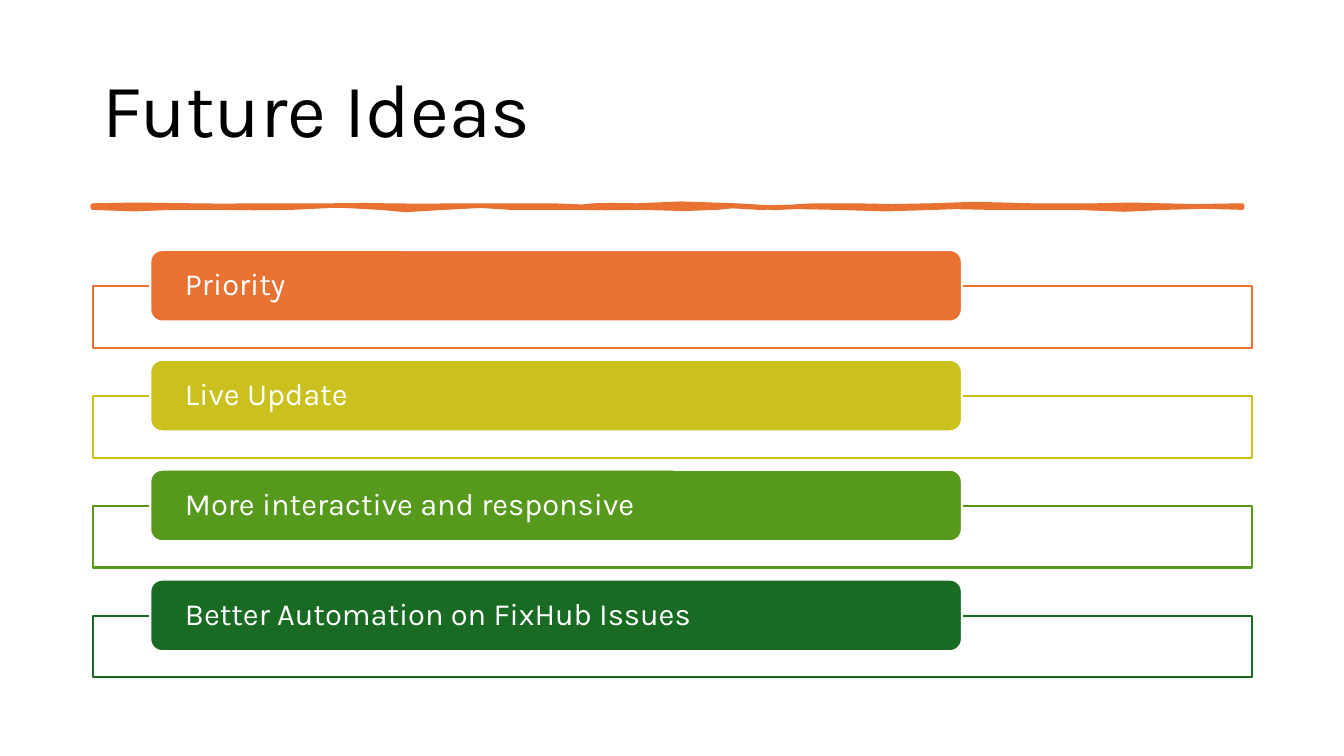
from pptx import Presentation
from pptx.dml.color import RGBColor
from pptx.enum import shapes, text
from pptx.util import Inches, Pt

FONT = "Karla"
COLORS = {
    "black": "000000", "white": "FFFFFF", "orange": "E97132",
    "yellow": "CBC11E", "green": "56991D", "forest": "196B24",
}
TITLE = "Future Ideas"
IDEAS = [
    ("Priority", "orange"),
    ("Live Update", "yellow"),
    ("More interactive and responsive", "green"),
    ("Better Automation on FixHub Issues", "forest"),
]

# Brush stroke outline: start, then (control 1, control 2, end) of each curve
STROKE_START = (0.92, 2.04)
STROKE_CURVES = [
    (1.19, 2.04, 1.44, 2.02, 1.9, 2.04), (2.37, 2.06, 2.2, 2.03, 2.44, 2.04),
    (2.67, 2.05, 3.03, 2.03, 3.31, 2.04), (3.6, 2.05, 3.59, 2.02, 3.84, 2.04),
    (4.1, 2.06, 4.23, 2.03, 4.6, 2.04), (4.98, 2.05, 5.14, 2.03, 5.48, 2.04),
    (5.81, 2.05, 5.81, 2.06, 5.89, 2.04), (5.98, 2.02, 6.15, 2.05, 6.31, 2.04),
    (6.47, 2.03, 7.01, 2, 7.3, 2.04), (7.59, 2.08, 7.81, 2.06, 8.06, 2.04),
    (8.31, 2.02, 8.27, 2.06, 8.48, 2.04), (8.68, 2.02, 9.01, 2.08, 9.24, 2.04),
    (9.47, 2, 9.82, 2.04, 10.23, 2.04), (10.63, 2.04, 10.63, 2.04, 10.87, 2.04),
    (11.12, 2.04, 11.36, 2.02, 11.52, 2.04), (11.68, 2.06, 12.03, 2.04, 12.32, 2.04),
    (12.32, 2.05, 12.32, 2.05, 12.32, 2.06), (12.05, 2.06, 11.89, 2.03, 11.56, 2.06),
    (11.22, 2.09, 11.1, 2.08, 10.68, 2.06), (10.27, 2.04, 10.23, 2.08, 9.81, 2.06),
    (9.39, 2.04, 9.52, 2.06, 9.28, 2.06), (9.04, 2.06, 8.51, 2.1, 8.29, 2.06),
    (8.06, 2.02, 7.82, 2.08, 7.53, 2.06), (7.24, 2.04, 7.25, 2.04, 7.11, 2.06),
    (6.98, 2.08, 6.61, 2.07, 6.35, 2.06), (6.09, 2.05, 5.9, 2.08, 5.7, 2.06),
    (5.51, 2.04, 5.28, 2.08, 5.06, 2.06), (4.83, 2.04, 4.73, 2.03, 4.41, 2.06),
    (4.09, 2.09, 3.9, 2.09, 3.77, 2.06), (3.63, 2.03, 3.1, 2.03, 2.89, 2.06),
    (2.68, 2.09, 2.35, 2.04, 2.13, 2.06), (1.92, 2.08, 1.89, 2.04, 1.71, 2.06),
    (1.54, 2.08, 1.14, 2.08, 0.92, 2.06),
]
CURVE_STEPS = 2

LEFT, WIDTH = 0.92, 11.5
BAR_LEFT, BAR_TOP, BAR_WIDTH, BAR_HEIGHT = 1.49, 2.48, 8.05, 0.71
FRAME_DROP, FRAME_HEIGHT, PITCH = 0.36, 0.61, 1.09


def rgb(name):
    return RGBColor.from_string(COLORS[name])


def paint(sp, fill, line, width):
    sp.shadow.inherit = False
    sp.fill.solid()
    sp.fill.fore_color.rgb = rgb(fill)
    sp.line.color.rgb = rgb(line)
    sp.line.width = Pt(width)


def write(sp, words, size, color):
    tf = sp.text_frame
    tf.text = words
    tf.word_wrap = True
    tf.auto_size = text.MSO_AUTO_SIZE.NONE
    tf.vertical_anchor = text.MSO_ANCHOR.MIDDLE
    p = tf.paragraphs[0]
    p.alignment = text.PP_ALIGN.LEFT
    p.line_spacing = 0.9
    p.font.name, p.font.size = FONT, Pt(size)
    p.font.color.rgb = rgb(color)
    return tf


def curve_points(start, curves):
    """Points along a chain of cubic Bezier curves, in EMU."""
    x0, y0 = start
    for x1, y1, x2, y2, x3, y3 in curves:
        for step in range(1, CURVE_STEPS + 1):
            t = step / CURVE_STEPS
            a, b, c, d = (1 - t) ** 3, 3 * t * (1 - t) ** 2, 3 * t * t * (1 - t), t ** 3
            yield (Inches(a * x0 + b * x1 + c * x2 + d * x3),
                   Inches(a * y0 + b * y1 + c * y2 + d * y3))
        x0, y0 = x3, y3


def add_box(slide, kind, left, top, width, height):
    return slide.shapes.add_shape(
        kind, Inches(left), Inches(top), Inches(width), Inches(height))


def add_idea(slide, top, words, color):
    frame = add_box(slide, shapes.MSO_SHAPE.RECTANGLE,
                    LEFT, top + FRAME_DROP, WIDTH, FRAME_HEIGHT)
    paint(frame, "white", color, 1.5)
    bar = add_box(slide, shapes.MSO_SHAPE.ROUNDED_RECTANGLE,
                  BAR_LEFT, top, BAR_WIDTH, BAR_HEIGHT)
    paint(bar, color, "white", 1.5)
    tf = write(bar, words, 22, "white")
    tf.margin_left = tf.margin_right = Inches(0.31)
    tf.margin_top = tf.margin_bottom = 0


def main():
    prs = Presentation()
    prs.slide_width, prs.slide_height = Inches(13.33), Inches(7.5)
    slide = prs.slides.add_slide(prs.slide_layouts[5])

    title = slide.shapes.title
    title.left, title.top = Inches(LEFT), Inches(0.4)
    title.width, title.height = Inches(WIDTH), Inches(1.45)
    write(title, TITLE, 54, "black")

    x, y = STROKE_START
    builder = slide.shapes.build_freeform(Inches(x), Inches(y))
    builder.add_line_segments(curve_points(STROKE_START, STROKE_CURVES), close=True)
    paint(builder.convert_to_shape(), "orange", "orange", 3.25)

    for i, (words, color) in enumerate(IDEAS):
        add_idea(slide, BAR_TOP + i * PITCH, words, color)

    prs.save("out.pptx")


if __name__ == "__main__":
    main()
